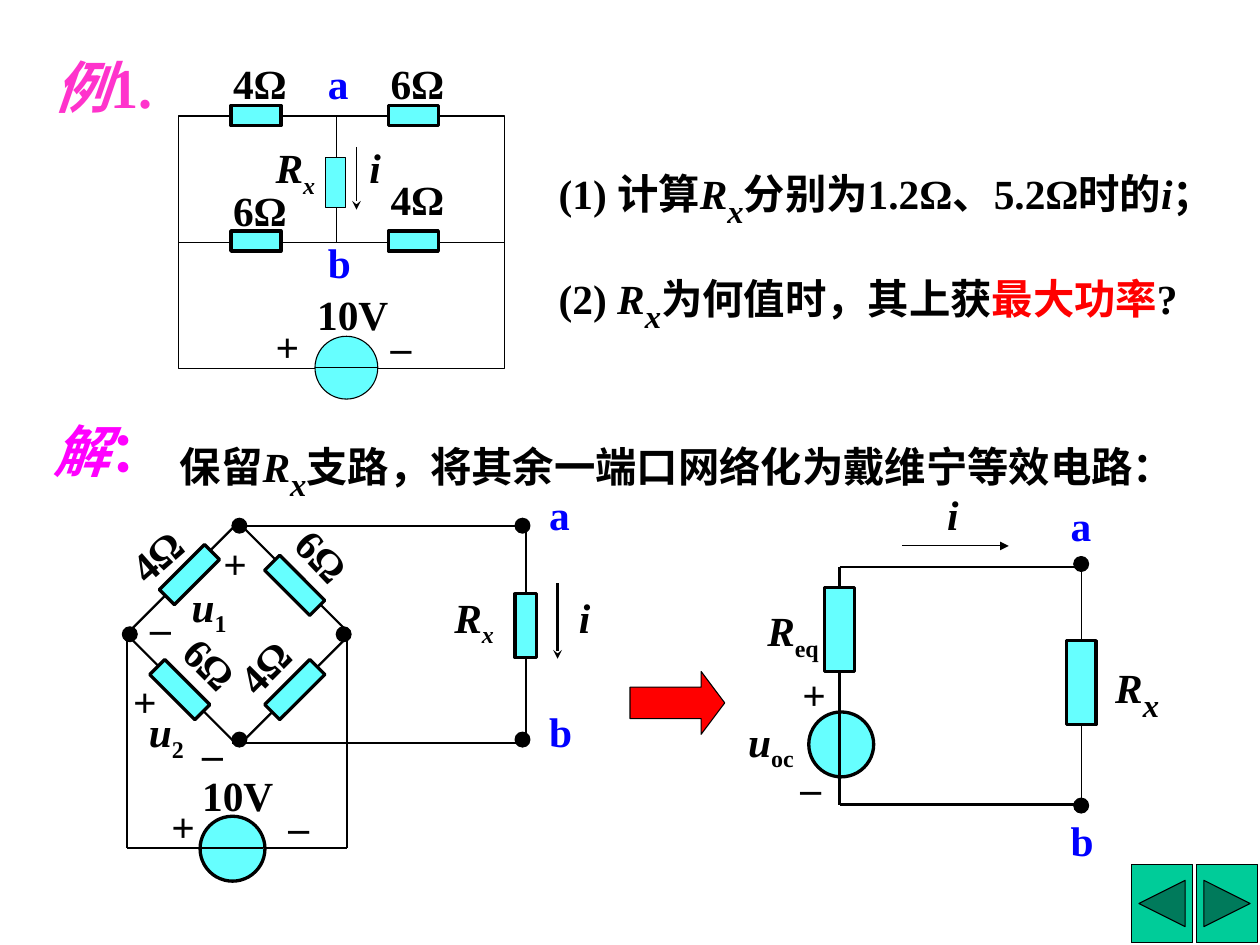
from dataclasses import dataclass

from lxml.etree import SubElement
from pptx import Presentation
from pptx.dml.color import RGBColor
from pptx.enum.shapes import MSO_CONNECTOR, MSO_SHAPE
from pptx.enum.text import MSO_ANCHOR, MSO_AUTO_SIZE, PP_ALIGN
from pptx.oxml.ns import qn
from pptx.util import Inches, Pt


@dataclass(frozen=True)
class Theme:
    font: str = "Times New Roman"
    ink: str = "000000"
    node: str = "0000FF"
    device: str = "66FFFF"
    example: str = "FF33CC"
    solution: str = "FF00FF"
    accent: str = "FF0000"
    button: str = "00CC99"
    text: int = 28
    heading: int = 38
    thin: float = 0.75
    wire: float = 1.5
    thick: float = 2.25
    line_height: float = 0.59


THEME = Theme()


@dataclass(frozen=True)
class Span:
    text: str
    color: str = THEME.ink
    size: int = THEME.text
    italic: bool = False
    sub: bool = False


def symbol(letter, index, italic_index=False, size=THEME.text):
    return [Span(letter, italic=True), Span(index, size=size, italic=italic_index, sub=True)]


RX = symbol("R", "x", True)
RX_LARGE = symbol("R", "x", True, THEME.heading)
CURRENT = [Span("i", italic=True)]
NODE_A, NODE_B = [Span("a", THEME.node)], [Span("b", THEME.node)]


def write(box, spans):
    frame = box.text_frame
    frame.word_wrap = True
    frame.auto_size = MSO_AUTO_SIZE.NONE
    frame.vertical_anchor = MSO_ANCHOR.TOP
    frame.margin_left = frame.margin_right = Inches(0.12)
    frame.margin_top = frame.margin_bottom = Inches(0.06)
    para = frame.paragraphs[0]
    props = para._p.get_or_add_pPr()
    props.set("marL", "0")
    props.set("indent", "0")
    SubElement(props, qn("a:buNone"))
    para.alignment = PP_ALIGN.LEFT
    para.space_before = Pt(0)
    for item in spans:
        span = para.add_run()
        span.text = item.text
        span.font.name = THEME.font
        span.font.size = Pt(item.size)
        span.font.bold = True
        span.font.italic = item.italic
        span.font.color.rgb = RGBColor.from_string(item.color)
        if item.sub:
            span._r.get_or_add_rPr().set("baseline", "-25000")


def place(box, left, top, width, height):
    box.left, box.top = Inches(left), Inches(top)
    box.width, box.height = Inches(width), Inches(height)


class Region:
    """Draws parts at offsets from the top left corner of its box."""

    def __init__(self, shapes, left, top):
        self.shapes, self.left, self.top = shapes, left, top

    def spot(self, x, y):
        return Inches(self.left + x), Inches(self.top + y)

    def shape(self, kind, x, y, width, height, fill=None, weight=THEME.thin, turn=0):
        shape = self.shapes.add_shape(kind, *self.spot(x, y), Inches(width), Inches(height))
        shape.shadow.inherit = False
        shape.rotation = turn
        if fill:
            shape.fill.solid()
            shape.fill.fore_color.rgb = RGBColor.from_string(fill)
        else:
            shape.fill.background()
        shape.line.color.rgb = RGBColor.from_string(THEME.ink)
        shape.line.width = Pt(weight)
        return shape

    def resistor(self, x, y, width, height, weight=THEME.thick, turn=0):
        self.shape(MSO_SHAPE.RECTANGLE, x, y, width, height, THEME.device, weight, turn)

    def source(self, x, y, size, weight=THEME.thick):
        self.shape(MSO_SHAPE.OVAL, x, y, size, size, THEME.device, weight)

    def dots(self, *spots):
        for x, y in spots:
            self.shape(MSO_SHAPE.OVAL, x, y, 0.14, 0.14, THEME.ink)

    def wire(self, x1, y1, x2, y2, weight=THEME.wire, head=None):
        wire = self.shapes.add_connector(
            MSO_CONNECTOR.STRAIGHT, *self.spot(x1, y1), *self.spot(x2, y2))
        wire.line.color.rgb = RGBColor.from_string(THEME.ink)
        wire.line.width = Pt(weight)
        if head:
            SubElement(wire.line._get_or_add_ln(), qn("a:tailEnd"), type=head)
        SubElement(wire._element.spPr, qn("a:effectLst"))
        return wire

    def label(self, spans, x, y, width, turn=0, height=THEME.line_height):
        box = self.shapes.add_textbox(*self.spot(x, y), Inches(width), Inches(height))
        box.rotation = turn
        write(box, [Span(spans)] if isinstance(spans, str) else spans)

    def labels(self, *rows):
        for row in rows:
            self.label(*row)


def add_wording(page):
    # Heading and the two questions
    title, first, second = page.placeholders
    place(title, 0.39, 0.43, 1.48, 0.75)
    write(title, [Span("例", THEME.example, THEME.heading, True),
                  Span("1.", THEME.example, THEME.heading)])
    place(first, 5.13, 1.38, 6.51, THEME.line_height)
    write(first, [Span("(1) 计算"), *RX_LARGE, Span("分别为1.2Ω、5.2Ω时的"),
                  *CURRENT, Span("；")])
    place(second, 5.13, 2.37, 6.22, THEME.line_height)
    write(second, [Span("(2) "), *RX_LARGE, Span("为何值时，其上获"),
                   Span("最大功率", THEME.accent), Span("?")])

    # Solution line
    solution = Region(page.shapes, 0.38, 3.85)
    solution.label([Span("解", THEME.solution, THEME.heading, True),
                    Span("：", THEME.solution, THEME.heading)], 0, 0, 1.69, height=0.75)
    solution.label([Span("保留"), *RX_LARGE,
                    Span("支路，将其余一端口网络化为戴维宁等效电路：")], 1.19, 0.1, 9.78)


def add_given_circuit(shapes, left, top):
    area = Region(shapes, left, top)
    # Wires
    frame = area.shape(MSO_SHAPE.RECTANGLE, 0, 0, 3.06, 2.37)
    middle = area.wire(0, 1.18, 3.06, 1.18, THEME.thin)
    middle.begin_connect(frame, 1)
    middle.end_connect(frame, 3)
    area.wire(1.48, 0, 1.48, 1.18, THEME.thin)
    area.wire(1.67, 0.29, 1.67, 0.88, THEME.thin, "stealth")
    # Parts
    for x in (0.49, 1.97):
        for y in (-0.1, 1.08):
            area.resistor(x, y, 0.47, 0.19)
    area.resistor(1.38, 0.39, 0.19, 0.47, THEME.thin)
    area.source(1.28, 2.07, 0.59, THEME.thin)
    area.wire(1.28, 2.36, 1.87, 2.36, THEME.thin)
    area.labels(
        ("4Ω", 0.39, -0.6, 0.89), ("6Ω", 1.87, -0.6, 0.79),
        ("6Ω", 0.39, 0.59, 0.99), ("4Ω", 1.87, 0.49, 0.79),
        (NODE_A, 1.28, -0.6, 0.49), (NODE_B, 1.28, 1.08, 0.49),
        (RX, 0.79, 0.19, 0.69), (CURRENT, 1.67, 0.19, 0.49),
        ("+", 0.79, 1.87, 0.49), ("–", 1.87, 1.87, 0.59), ("10V", 1.18, 1.57, 1.09))


def add_bridge_circuit(shapes, left, top):
    area = Region(shapes, left, top)
    # Wires
    for ends in ((0, 1.04, 0, 3.06), (2.07, 1.06, 2.07, 3.06), (0, 3.06, 2.07, 3.06),
                 (0.99, 2.07, 3.75, 2.07), (1.09, 0.03, 3.75, 0.03),
                 (3.75, 2.07, 3.75, -0.03)):
        area.wire(*ends)
    area.wire(4.05, 0.57, 4.05, 1.28, head="stealth")
    area.shape(MSO_SHAPE.DIAMOND, 0, 0, 2.1, 2.1, weight=THEME.wire)
    # Parts
    for x, y, turn in ((0.49, 0.19, 45), (1.48, 1.27, 45), (0.4, 1.27, 315),
                       (1.48, 0.29, 315), (3.65, 0.67, 0)):
        area.resistor(x, y, 0.2, 0.6, turn=turn)
    area.source(0.69, 2.76, 0.61)
    area.wire(0.69, 3.06, 1.28, 3.06)
    area.dots((-0.04, 0.98), (1.97, 0.98),
              *((x, y) for x in (0.99, 3.65) for y in (-0.04, 1.97)))
    area.labels(
        ("4Ω", -0.1, 0, 0.8, 318.6), ("6Ω", 1.45, 0.06, 0.86, 46.4),
        ("6Ω", 0.4, 1.08, 0.88, 44.9), ("4Ω", 0.89, 0.98, 0.97, 314.8),
        ("+", 0.79, 0.09, 0.35), (symbol("u", "1"), 0.49, 0.49, 0.71), ("–", 0.1, 0.69, 0.35),
        ("+", -0.06, 1.38, 0.35), (symbol("u", "2"), 0.09, 1.67, 0.7), ("–", 0.59, 1.87, 0.35),
        ("+", 0.3, 2.56, 0.44), ("10V", 0.59, 2.27, 1.2), ("–", 1.4, 2.56, 0.53),
        (NODE_A, 3.85, -0.37, 0.44), (NODE_B, 3.85, 1.67, 0.44),
        (RX, 2.96, 0.59, 0.8), (CURRENT, 4.13, 0.59, 0.41))


def add_equivalent_circuit(shapes, left, top):
    area = Region(shapes, left, top)
    width, height = 2.27, 2.23
    # Wires
    area.wire(0.59, -0.2, 1.59, -0.2, THEME.thin, "triangle")
    area.wire(0, 0, 0, height)
    for y in (0, height):
        area.wire(0, y, width, y)
    area.wire(width, 0, width, height, THEME.thin)
    # Parts
    area.resistor(-0.14, 0.19, 0.28, 0.79)
    area.resistor(width - 0.14, 0.69, 0.28, 0.79)
    area.source(-0.29, 1.36, 0.61)
    area.wire(0, 1.36, 0, 1.96)
    area.dots((2.2, -0.1), (2.2, 2.17))
    area.labels(
        (CURRENT, 0.89, -0.79, 0.71), (NODE_A, 2.05, -0.69, 0.71),
        (NODE_B, 2.05, 2.27, 0.71), (RX_LARGE, 2.47, 0.69, 1),
        (symbol("R", "eq"), -0.8, 0.3, 1), (symbol("u", "oc"), -0.98, 1.34, 1.08),
        ("+", -0.47, 0.9, 0.57), ("–", -0.49, 1.77, 0.71))


def add_buttons(shapes, left, top):
    area = Region(shapes, left, top)
    kinds = (MSO_SHAPE.ACTION_BUTTON_BACK_OR_PREVIOUS, MSO_SHAPE.ACTION_BUTTON_FORWARD_OR_NEXT)
    for column, kind in enumerate(kinds):
        area.shape(kind, column * 0.61, 0, 0.58, 0.74, THEME.button)


def main():
    deck = Presentation()
    deck.slide_width, deck.slide_height = Inches(11.84), Inches(8.88)
    page = deck.slides.add_slide(deck.slide_layouts.get_by_name("Two Content"))
    add_buttons(page.shapes, 10.63, 8.12)
    add_wording(page)
    add_given_circuit(page.shapes.add_group_shape().shapes, 1.68, 1.09)
    add_bridge_circuit(page.shapes.add_group_shape().shapes, 1.19, 4.91)
    arrow = Region(page.shapes, 5.92, 6.31).shape(
        MSO_SHAPE.RIGHT_ARROW, 0, 0, 0.89, 0.59, THEME.accent)
    arrow.adjustments[1] = 0.375
    add_equivalent_circuit(page.shapes.add_group_shape().shapes, 7.89, 5.33)
    deck.save("out.pptx")


if __name__ == "__main__":
    main()
